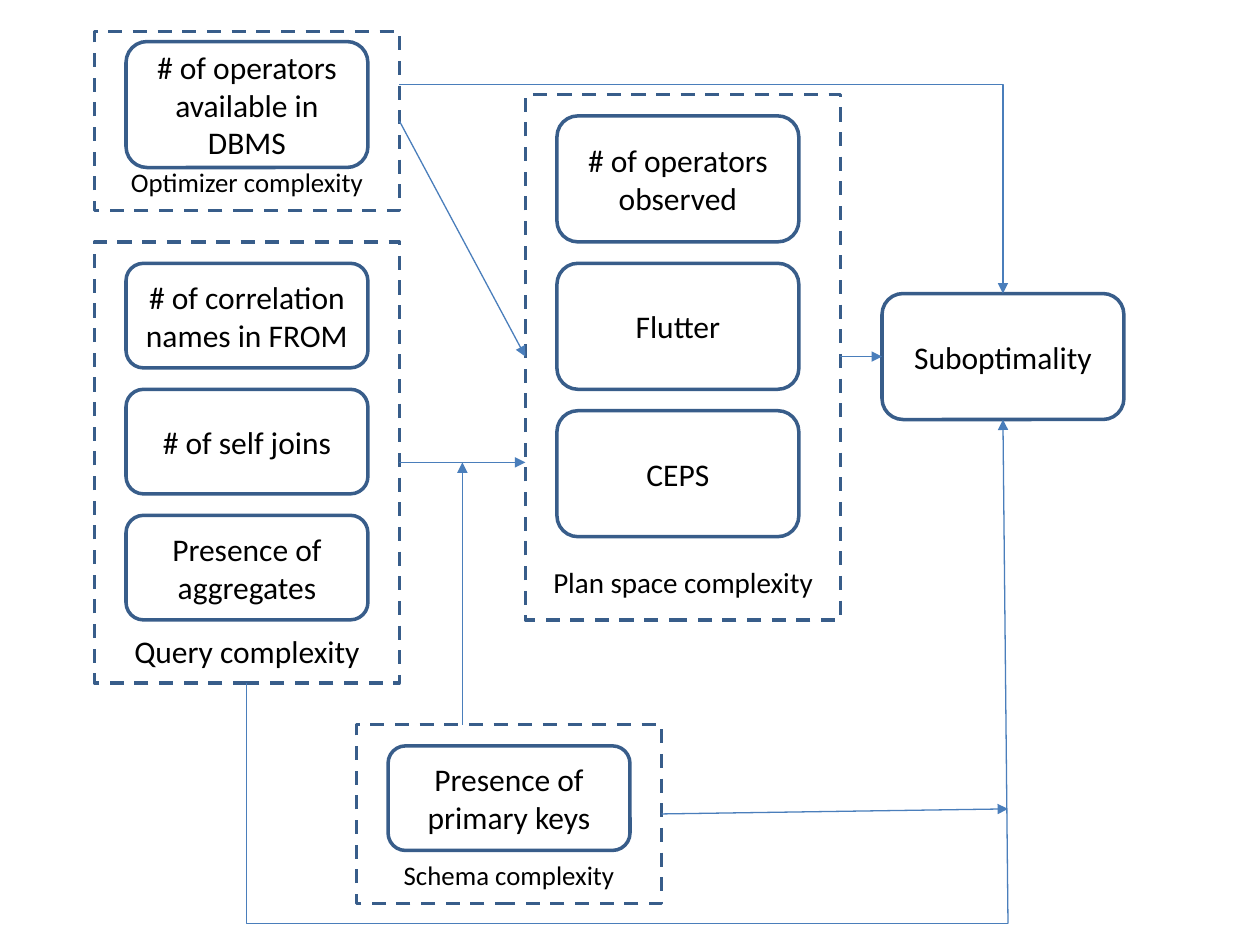
from lxml.etree import SubElement
from pptx import Presentation
from pptx.dml.color import RGBColor
from pptx.enum.dml import MSO_LINE
from pptx.enum.shapes import MSO_CONNECTOR, MSO_SHAPE
from pptx.enum.text import MSO_ANCHOR, PP_ALIGN
from pptx.oxml.ns import qn
from pptx.util import Inches, Pt

COLORS = {"outline": "385D8A", "arrow": "4A7EBB", "text": "000000"}
NODE_WIDTH = 1.92
NODE_INDENT = 0.25
NODE_GAP = 0.17


def add_box(page, kind, bounds, text, size, anchor, bottom_inset=0.05):
    box = page.shapes.add_shape(kind, *map(Inches, bounds))
    box.shadow.inherit = False
    box.fill.background()
    box.line.color.rgb = RGBColor.from_string(COLORS["outline"])
    box.line.width = Pt(2)
    frame = box.text_frame
    frame.word_wrap = True
    frame.vertical_anchor = anchor
    frame.margin_bottom = Inches(bottom_inset)
    para = frame.paragraphs[0]
    para.text = text
    para.alignment = PP_ALIGN.CENTER
    para.font.size = Pt(size)
    para.font.name = "Calibri"
    para.font.color.rgb = RGBColor.from_string(COLORS["text"])
    return box


def add_node(page, left, top, height, text):
    bounds = (left, top, NODE_WIDTH, height)
    add_box(page, MSO_SHAPE.ROUNDED_RECTANGLE, bounds, text, 18, MSO_ANCHOR.MIDDLE)


def add_group(page, bounds, caption, size, nodes, node_height, top_gap=NODE_GAP, bottom_inset=0.1):
    left, top = bounds[:2]
    for index, text in enumerate(nodes):
        node_top = top + top_gap + index * (node_height + NODE_GAP)
        add_node(page, left + NODE_INDENT, node_top, node_height, text)
    frame_box = add_box(page, MSO_SHAPE.RECTANGLE, bounds, caption, size,
                        MSO_ANCHOR.BOTTOM, bottom_inset)
    frame_box.line.dash_style = MSO_LINE.DASH


def add_link(page, start, end, bent=False, arrow=True):
    kind = MSO_CONNECTOR.ELBOW if bent else MSO_CONNECTOR.STRAIGHT
    link = page.shapes.add_connector(kind, *map(Inches, start + end))
    link.line.color.rgb = RGBColor.from_string(COLORS["arrow"])
    link.line.width = Pt(0.75)
    properties = link._element.spPr
    if bent:
        properties.find(qn("a:prstGeom")).set("prst", "bentConnector2")
    if arrow:
        SubElement(properties.find(qn("a:ln")), qn("a:tailEnd"), type="triangle")
    SubElement(properties, qn("a:effectLst"))


def add_links(page):
    add_link(page, (3.17, 3.67), (4.17, 3.67))
    add_link(page, (3.17, 0.96), (4.17, 2.83))
    add_link(page, (3.67, 5.75), (3.67, 3.67))
    add_link(page, (3.17, 0.67), (7.96, 2.33), bent=True)
    add_link(page, (6.67, 2.83), (7, 2.83))
    add_link(page, (8, 7.33), (1.96, 5.42), bent=True, arrow=False)
    add_link(page, (8, 7.33), (7.96, 3.33))
    add_link(page, (5.25, 6.46), (8, 6.42))


def main():
    deck = Presentation()
    deck.slide_width, deck.slide_height = Inches(10), Inches(7.5)
    page = deck.slides.add_slide(deck.slide_layouts[6])
    add_group(page, (0.75, 0.25, 2.42, 1.42), "Optimizer complexity", 15.3,
              ["# of operators available in DBMS"], 1, top_gap=0.08)
    add_group(page, (2.83, 5.75, 2.42, 1.42), "Schema complexity", 15.3,
              ["Presence of primary keys"], 0.83)
    add_group(page, (0.75, 1.92, 2.42, 3.5), "Query complexity", 18,
              ["# of correlation names in FROM", "# of self joins", "Presence of aggregates"], 0.83)
    add_group(page, (4.17, 0.75, 2.5, 4.17), "Plan space complexity", 16.6,
              ["# of operators observed", "Flutter", "CEPS"], 1, bottom_inset=0.16)
    add_node(page, 7, 2.33, 1, "Suboptimality")
    add_links(page)
    deck.save("out.pptx")


if __name__ == "__main__":
    main()
